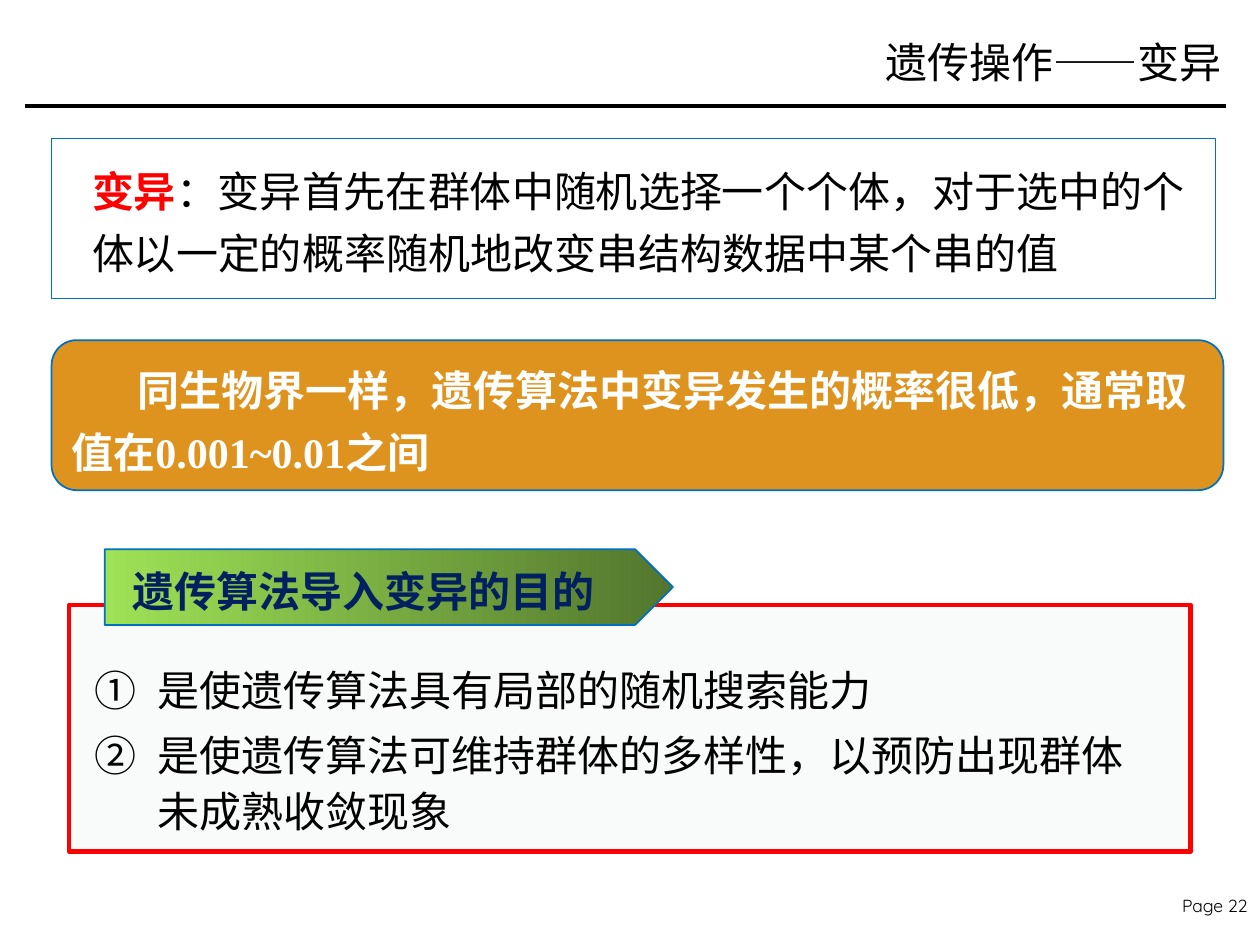
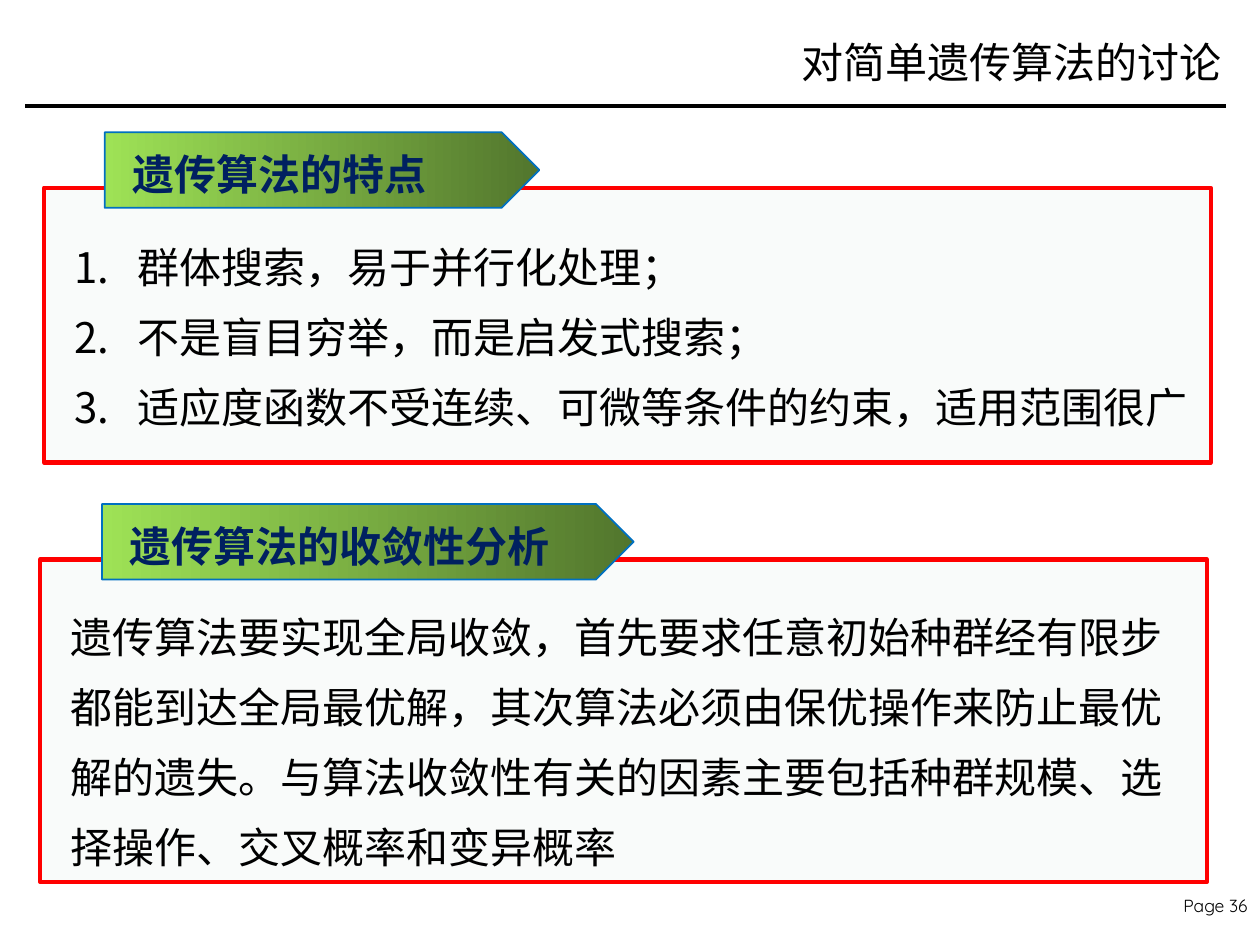
from lxml import etree
from pptx import Presentation
from pptx.dml.color import RGBColor
from pptx.enum.shapes import MSO_CONNECTOR, MSO_SHAPE
from pptx.enum.text import MSO_ANCHOR, PP_ALIGN
from pptx.oxml.ns import qn
from pptx.util import Pt

RECT = MSO_SHAPE.RECTANGLE
ROUNDED = MSO_SHAPE.ROUNDED_RECTANGLE
PENTAGON = MSO_SHAPE.PENTAGON
STRAIGHT = MSO_CONNECTOR.STRAIGHT
LEFT, RIGHT = PP_ALIGN.LEFT, PP_ALIGN.RIGHT
TOP, MIDDLE = MSO_ANCHOR.TOP, MSO_ANCHOR.MIDDLE

BLACK = RGBColor(0x00, 0x00, 0x00)
WHITE = RGBColor(0xFF, 0xFF, 0xFF)
RED = RGBColor(0xFF, 0x00, 0x00)
BLUE = RGBColor(0x00, 0x70, 0xC0)
NAVY = RGBColor(0x00, 0x20, 0x60)
ORANGE = RGBColor(0xDE, 0x93, 0x1E)
PALE = RGBColor(0xF9, 0xFB, 0xFA)
LIME = RGBColor(0x9E, 0xE2, 0x56)
MOSS = RGBColor(0x52, 0x76, 0x2D)

TEXT_FONT = "Times New Roman"
FOOTER_FONT = "Quicksand"
TEXT_SIZE = 24
TAG_HEIGHT = 43.2
TAG_RISE = 31.7  # how far a tag stands above its panel
HANGING = 36


def add_run(p, text, color=BLACK, bold=False, size=TEXT_SIZE, font=TEXT_FONT):
    r = p.add_run()
    r.text = text
    r.font.name = font
    r.font.size = Pt(size)
    r.font.bold = bold
    r.font.color.rgb = color


def add_text_box(s, box, anchor=TOP, wrap=True):
    tf = s.shapes.add_textbox(*map(Pt, box)).text_frame
    tf.word_wrap = wrap
    tf.vertical_anchor = anchor
    return tf


def add_outlined(s, kind, box, line, width, fill=None):
    sp = s.shapes.add_shape(kind, *map(Pt, box))
    sp.shadow.inherit = False
    sp.line.color.rgb = line
    sp.line.width = Pt(width)
    if fill is None:
        sp.fill.background()
    else:
        sp.fill.solid()
        sp.fill.fore_color.rgb = fill
    return sp


def set_indent(p, left, first):
    pPr = p._p.get_or_add_pPr()
    pPr.set("marL", str(Pt(left)))
    pPr.set("indent", str(Pt(first)))
    return pPr


def add_frame(prs, title, page):
    """Start a slide with the shared title, rule and page number."""
    s = prs.slides.add_slide(prs.slide_layouts[6])
    p = add_text_box(s, (655, 508, 65, 19), wrap=False).paragraphs[0]
    p.alignment = RIGHT
    add_run(p, f"Page {page}", size=10, font=FOOTER_FONT)

    rule = s.shapes.add_connector(STRAIGHT, Pt(14.4), Pt(60.5), Pt(700.5), Pt(60.5))
    rule.line.color.rgb = BLACK
    rule.line.width = Pt(2)
    etree.SubElement(rule._element.spPr, qn("a:effectLst"))

    p = add_text_box(s, (309, 8, 396, 54), MIDDLE).paragraphs[0]
    p.alignment = RIGHT
    add_run(p, title)
    return s


def add_definition(s, box, term, text):
    x, y, w, h = box
    add_outlined(s, RECT, box, BLUE, 0.75)
    p = add_text_box(s, (x + 16, y + 5.8, w - 15.5, h - 14)).paragraphs[0]
    p.line_spacing = Pt(35)
    add_run(p, term, RED, bold=True)
    add_run(p, text)


def add_callout(s, box, text):
    tf = add_outlined(s, ROUNDED, box, BLUE, 1, ORANGE).text_frame
    tf.word_wrap = True
    tf.vertical_anchor = MIDDLE
    p = tf.paragraphs[0]
    p.alignment = LEFT
    set_indent(p, 0, 38)
    p.line_spacing = Pt(35)
    add_run(p, text, WHITE, bold=True)


def add_tag(s, x, y, width, label):
    tag = add_outlined(s, PENTAGON, (x, y, width, TAG_HEIGHT), BLUE, 1)
    tag.fill.gradient()
    tag.fill.gradient_angle = 0
    for stop, color in zip(tag.fill.gradient_stops, (LIME, MOSS)):
        stop.color.rgb = color
    label_width = len(label) * TEXT_SIZE + 22
    p = add_text_box(s, (x + 8.6, y + 6, label_width, 36)).paragraphs[0]
    add_run(p, label, NAVY, bold=True)


def add_panel(s, box, tag, body, lines, spacing, numbering=None, gap=0):
    """Tag is (offset, width, label); body is a box relative to the panel."""
    x, y, w, h = box
    add_outlined(s, RECT, box, RED, 2.5, PALE)
    tag_dx, tag_width, label = tag
    add_tag(s, x + tag_dx, y - TAG_RISE, tag_width, label)
    dx, dy, body_w, body_h = body
    tf = add_text_box(s, (x + dx, y + dy, body_w, body_h))
    for i, line in enumerate(lines):
        p = tf.add_paragraph() if i else tf.paragraphs[0]
        if numbering:
            pPr = set_indent(p, HANGING, -HANGING)
            etree.SubElement(pPr, qn("a:buAutoNum"), type=numbering)
        p.line_spacing = Pt(spacing)
        if i and gap:
            p.space_before = Pt(gap)
        add_run(p, line)


def build_mutation(prs):
    s = add_frame(prs, "遗传操作——变异", 22)
    add_definition(
        s, (29.5, 79.2, 665.3, 91.4), "变异",
        "：变异首先在群体中随机选择一个个体，对于选中的个体以一定的概率随机地改变串结构数据中某个串的值")
    add_callout(
        s, (29.5, 194.4, 669.6, 85.7),
        "同生物界一样，遗传算法中变异发生的概率很低，通常取值在0.001~0.01之间")
    add_panel(
        s, (39.6, 345.6, 640.8, 141.1),
        (20.2, 324.7, "遗传算法导入变异的目的"), (7.2, 27.4, 618.5, 109.4),
        ["是使遗传算法具有局部的随机搜索能力",
         "是使遗传算法可维持群体的多样性，以预防出现群体未成熟收敛现象"],
        32, "circleNumDbPlain", gap=5)


def build_discussion(prs):
    s = add_frame(prs, "对简单遗传算法的讨论", 36)
    add_panel(
        s, (25.2, 107.3, 666.7, 157),
        (34.6, 248.4, "遗传算法的特点"), (10.1, 15.8, 656.6, 128.2),
        ["群体搜索，易于并行化处理；",
         "不是盲目穷举，而是启发式搜索；",
         "适应度函数不受连续、可微等条件的约束，适用范围很广"],
        40, "arabicPeriod")
    add_panel(
        s, (23, 319.7, 666.7, 184.3),
        (35.3, 303.8, "遗传算法的收敛性分析"), (10.1, 15.1, 656.6, 168.5),
        ["遗传算法要实现全局收敛，首先要求任意初始种群经有限步都能到达全局最优解，"
         "其次算法必须由保优操作来防止最优解的遗失。与算法收敛性有关的因素主要包括"
         "种群规模、选择操作、交叉概率和变异概率"],
        40)


def main():
    prs = Presentation()
    prs.slide_width, prs.slide_height = Pt(720), Pt(540)
    build_mutation(prs)
    build_discussion(prs)
    prs.save("out.pptx")


if __name__ == "__main__":
    main()
